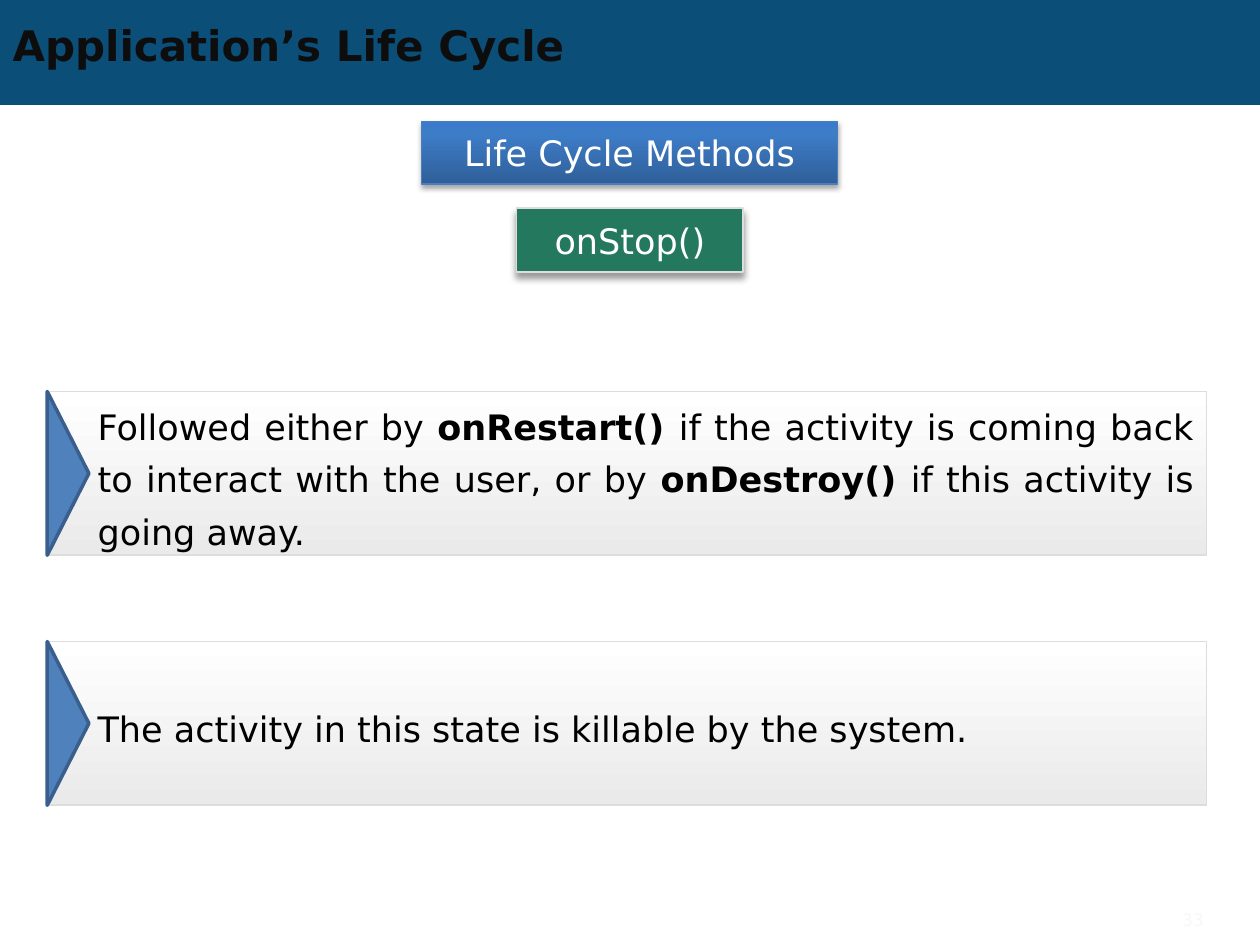
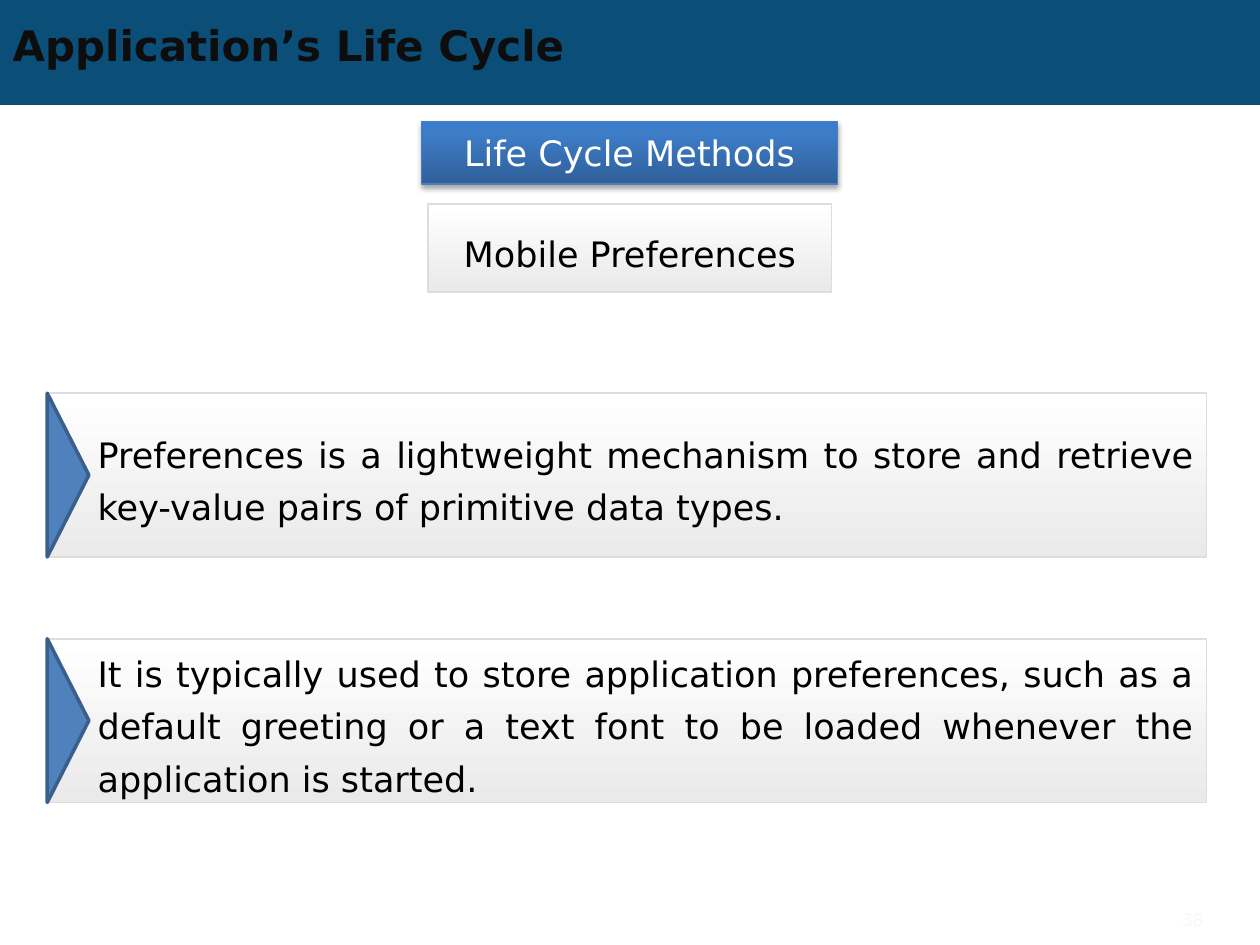
from lxml import etree
from pptx import Presentation
from pptx.dml.color import RGBColor
from pptx.enum.shapes import MSO_SHAPE
from pptx.enum.text import MSO_ANCHOR, MSO_AUTO_SIZE, PP_ALIGN
from pptx.oxml.ns import qn
from pptx.util import Pt

RECT, TRIANGLE = MSO_SHAPE.RECTANGLE, MSO_SHAPE.ISOSCELES_TRIANGLE
LEFT, CENTER, RIGHT, JUSTIFY = PP_ALIGN.LEFT, PP_ALIGN.CENTER, PP_ALIGN.RIGHT, PP_ALIGN.JUSTIFY
MIDDLE, NO_FIT = MSO_ANCHOR.MIDDLE, MSO_AUTO_SIZE.NONE

FONT = "DejaVu Sans"
BAND, BLACK, WHITE, GREY_LINE = "0B4E78", "000000", "FFFFFF", "DDDDDD"
SLIDE_W, SLIDE_H = 720, 540
PANEL_X, PANEL_W, PANEL_H, ARROW_W = 27, 662.4, 93.6, 23.8
GREY_FADE = ([(0, "FFFFFF"), (100, "EAEAEA")], 270)
BLUE_FADE = ([(0, "2F5F99"), (80, "3D7CC7"), (100, "3A7CCB")], 90)
PANEL_INSETS = (28.8, 0, 7.2, 0)
DEFAULT_INSETS = (7.2, 3.6, 7.2, 3.6)
NO_INSETS = (0, 0, 0, 0)


def rgb(value):
    return RGBColor.from_string(value)


def set_gradient(sp, stops, angle):
    sp.fill.gradient()
    sp.fill.gradient_angle = angle
    gs_list = next(sp.element.iter(qn("a:gsLst")))
    for gs in list(gs_list):
        gs_list.remove(gs)
    for position, color in stops:
        gs = etree.SubElement(gs_list, qn("a:gs"), pos=str(position * 1000))
        etree.SubElement(gs, qn("a:srgbClr"), val=color)


def set_shadow(sp, opacity, blur, distance):
    effects = next(sp.element.iter(qn("a:effectLst")))
    shadow = etree.SubElement(effects, qn("a:outerShdw"), blurRad=str(Pt(blur)),
                              dist=str(Pt(distance)), dir="5400000", rotWithShape="0")
    color = etree.SubElement(shadow, qn("a:srgbClr"), val=BLACK)
    etree.SubElement(color, qn("a:alpha"), val=str(opacity * 1000))


def add_box(shapes, kind, at, fill, line=None):
    sp = shapes.add_shape(kind, *[Pt(v) for v in at])
    sp.shadow.inherit = False
    if isinstance(fill, tuple):
        set_gradient(sp, *fill)
    else:
        sp.fill.solid()
        sp.fill.fore_color.rgb = rgb(fill)
    if line:
        sp.line.color.rgb = rgb(line[0])
        sp.line.width = Pt(line[1])
    else:
        sp.line.fill.background()
    return sp


def write(sp, parts, align, size=20, color=BLACK, bold=False,
          insets=DEFAULT_INSETS, spacing=None):
    tf = sp.text_frame
    frame = {"word_wrap": True, "auto_size": NO_FIT, "vertical_anchor": MIDDLE}
    sides = ("margin_left", "margin_top", "margin_right", "margin_bottom")
    frame.update(zip(sides, [Pt(v) for v in insets]))
    for name, value in frame.items():
        setattr(tf, name, value)
    p = tf.paragraphs[0]
    p.alignment = align
    if spacing:
        p.line_spacing = Pt(spacing)
    for i, part in enumerate(parts):
        r = p.add_run()
        r.text = part
        for name, value in {"name": FONT, "size": Pt(size), "bold": bold or i % 2 == 1}.items():
            setattr(r.font, name, value)
        r.font.color.rgb = rgb(color)


def add_panel(slide, top, parts):
    shapes = slide.shapes.add_group_shape().shapes
    panel = add_box(shapes, RECT, (PANEL_X, top, PANEL_W, PANEL_H), GREY_FADE, (GREY_LINE, 1))
    write(panel, parts, JUSTIFY, insets=PANEL_INSETS, spacing=30)
    arrow_at = (PANEL_X + (ARROW_W - PANEL_H) / 2, top + (PANEL_H - ARROW_W) / 2,
                PANEL_H, ARROW_W)
    arrow = add_box(shapes, TRIANGLE, arrow_at, "4F81BD", ("3A5F8C", 2))
    arrow.rotation = 90


def add_method_heading(slide):
    sp = add_box(slide.shapes, RECT, (241, 69.6, 237.6, 35.6), BLUE_FADE, ("4B7EBC", 0.75))
    set_shadow(sp, 35, 3.1, 1.8)
    write(sp, ["Life Cycle Methods"], CENTER, color=WHITE)


def add_page_number(slide, number):
    sp = slide.shapes.add_textbox(Pt(648), Pt(518), Pt(40), Pt(15))
    write(sp, [number], RIGHT, size=10, color="F8F8F8", insets=NO_INSETS)


def style_layout(layout, slide):
    band = add_box(slide.shapes, RECT, (0, 0, SLIDE_W, 60), BAND)
    layout.shapes.element.insert(2, band.element)
    title = layout.placeholders[0]
    for name, value in {"left": 0, "top": 10, "width": 648, "height": 31}.items():
        setattr(title, name, Pt(value))


def add_life_cycle_slide(prs, layout, number, panels):
    slide = prs.slides.add_slide(layout)
    write(slide.shapes.title, ["Application’s Life Cycle"], LEFT, size=24, color="0D0D0D", bold=True)
    add_method_heading(slide)
    for top, parts in panels:
        add_panel(slide, top, parts)
    add_page_number(slide, number)
    return slide


def main():
    prs = Presentation()
    prs.slide_width, prs.slide_height = Pt(SLIDE_W), Pt(SLIDE_H)
    layout = prs.slide_layouts[5]

    slide = add_life_cycle_slide(prs, layout, "33", [
        (223.7, ["Followed either by ", "onRestart() ",
                 "if the activity is coming back to interact with the user, or by ",
                 "onDestroy() ", "if this activity is going away."]),
        (366.6, ["The activity in this state is killable by the system."]),
    ])
    style_layout(layout, slide)
    sp = add_box(slide.shapes, RECT, (295.2, 119, 129.6, 36.5), "24785E", (GREY_LINE, 1))
    set_shadow(sp, 40, 4, 3)
    write(sp, ["onStop()"], CENTER, color=WHITE, insets=NO_INSETS)

    slide = add_life_cycle_slide(prs, layout, "38", [
        (224.7, ["Preferences is a lightweight mechanism to store and retrieve "
                 "key-value pairs of primitive data types."]),
        (365, ["It is typically used to store application preferences, such as a default "
               "greeting or a text font to be loaded whenever the application is started."]),
    ])
    sp = add_box(slide.shapes, RECT, (244.8, 116.6, 230.4, 50.4), GREY_FADE, (GREY_LINE, 1))
    write(sp, ["Mobile Preferences"], CENTER, spacing=30)

    prs.save("out.pptx")


if __name__ == "__main__":
    main()
